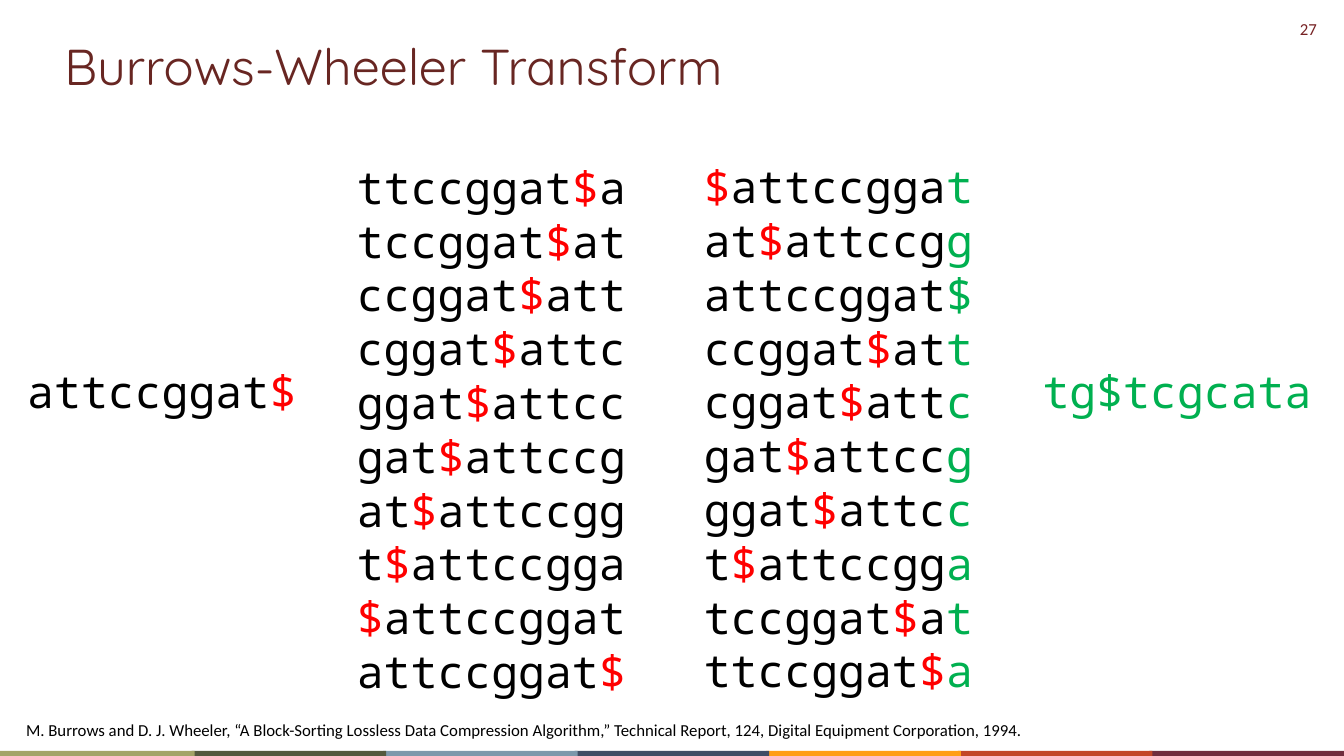
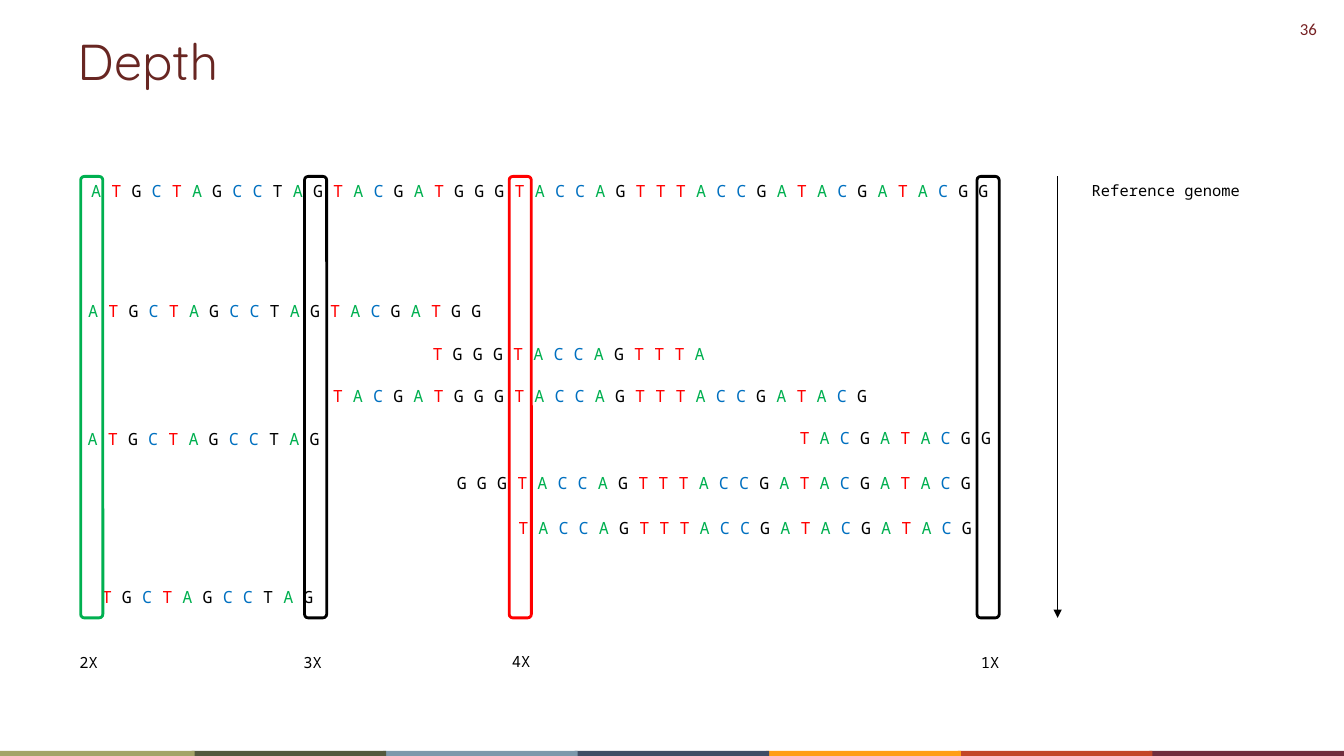
import itertools

import pptx
import pptx.dml.color
import pptx.enum.shapes
import pptx.enum.text
import pptx.oxml
import pptx.oxml.ns
import pptx.util

Inches = pptx.util.Inches
ALIGN = pptx.enum.text.PP_ALIGN
ANCHOR = pptx.enum.text.MSO_ANCHOR
SHAPE = pptx.enum.shapes.MSO_SHAPE

BLACK, WHITE, RED, GREEN, BLUE = "000000", "FFFFFF", "FF0000", "00B050", "0070C0"
TITLE_COLOR, NUMBER_COLOR = "682622", "762123"
BAND_COLORS = ["A3A467", "53593E", "7C98AB", "404E65", "FF9E16", "C34628", "712C3D"]
BASE_COLORS = {"A": GREEN, "C": BLUE, "G": BLACK, "T": RED}
MONO, BODY, HEADING = "Noto Sans Mono", "Calibri", "Quicksand"


def rgb(color):
    """Turn a hex string into a colour."""
    return pptx.dml.color.RGBColor.from_string(color)


def add_box(page, box, kind=SHAPE.RECTANGLE, fill=None, line=None, width=2):
    """Add a preset shape without shadow."""
    shape = page.shapes.add_shape(kind, *map(Inches, box))
    shape.shadow.inherit = False
    if fill:
        shape.fill.solid()
        shape.fill.fore_color.rgb = rgb(fill)
    else:
        shape.fill.background()
    if line:
        shape.line.color.rgb = rgb(line)
        shape.line.width = pptx.util.Pt(width)
    else:
        shape.line.fill.background()
    return shape


def write(shape, lines, size=12, font=BODY, align=ALIGN.LEFT, anchor=ANCHOR.TOP):
    """Write lines, each a list of (text, colour) spans, into a shape."""
    frame = shape.text_frame
    frame.word_wrap = True
    frame.vertical_anchor = anchor
    for index, spans in enumerate(lines):
        para = frame.paragraphs[0] if index == 0 else frame.add_paragraph()
        para.alignment = align
        for text, color in spans:
            span = para.add_run()
            span.text = text
            span.font.size = pptx.util.Pt(size)
            span.font.name = font
            span.font.color.rgb = rgb(color)


def add_text(page, box, text, color=BLACK, **style):
    """Add a one-line text box."""
    write(page.shapes.add_textbox(*map(Inches, box)), [[(text, color)]], **style)


def add_sequences(page, box, lines, size):
    """Add centred monospaced lines on a white rectangle."""
    write(add_box(page, box, fill=WHITE), lines, size=size, font=MONO,
          align=ALIGN.CENTER, anchor=ANCHOR.MIDDLE)


def add_page(deck, title, title_left, title_top, number):
    """Add a page with its title, number and footer bands."""
    page = deck.slides.add_slide(deck.slide_layouts[6])
    add_text(page, (12.46, 0.14, 0.7, 0.3), str(number), NUMBER_COLOR, align=ALIGN.RIGHT)
    for index, color in reversed(list(enumerate(BAND_COLORS))):
        add_box(page, (1.9 * index, 7.45, 1.93, 0.06), fill=color)
    add_text(page, (title_left, title_top, 12, 0.74), title, TITLE_COLOR,
             size=36, font=HEADING)
    return page


def color_rotation(text, mark_last=False):
    """Colour the end sign red and, on request, the last letter green."""
    colors = [RED if letter == "$" else BLACK for letter in text]
    if mark_last:
        colors[-1] = GREEN
    pairs = itertools.groupby(zip(text, colors), key=lambda pair: pair[1])
    return [("".join(letter for letter, _ in group), color) for color, group in pairs]


def color_bases(sequence):
    """Space out bases and colour each by its kind; T after CC stays black."""
    colors = [BLACK if base == "T" and sequence[:index].endswith("CC") else BASE_COLORS[base]
              for index, base in enumerate(sequence)]
    spans = []
    for color, group in itertools.groupby(zip(sequence, colors), key=lambda pair: pair[1]):
        spans.append(("".join(base + " " for base, _ in group), color))
    spans[-1] = (spans[-1][0].rstrip(), spans[-1][1])
    return spans


def build_transform(deck):
    """Show a word, its rotations, the sorted rotations and the result."""
    page = add_page(deck, "Burrows-Wheeler Transform", 0.54, 0.3, 27)
    word = "attccggat$"
    rotations = [word[cut:] + word[:cut] for cut in range(1, len(word) + 1)]
    ordered = sorted(rotations)
    result = "".join(row[-1] for row in ordered)
    columns = [
        ((0.15, 3.51, 2.91, 0.74), [color_rotation(word)]),
        ((3.06, 1.34, 3.63, 5.82), [color_rotation(row) for row in rotations]),
        ((6.36, 1.17, 3.91, 6.15), [color_rotation(row, True) for row in ordered]),
        ((10.22, 3.51, 2.91, 0.74), [[(result, GREEN)]]),
    ]
    for box, lines in columns:
        add_sequences(page, box, lines, 32)
    add_text(page, (0.16, 7.09, 11.63, 0.3),
             "M. Burrows and D. J. Wheeler, “A Block-Sorting Lossless Data Compression "
             "Algorithm,” Technical Report, 124, Digital Equipment Corporation, 1994.")


def add_arrow(page, left, top, bottom):
    """Draw a thin downward arrow."""
    arrow = page.shapes.add_connector(pptx.enum.shapes.MSO_CONNECTOR.STRAIGHT,
                                      *map(Inches, (left, top, left, bottom)))
    arrow.line.color.rgb = rgb(BLACK)
    arrow.line.width = pptx.util.Pt(0.75)
    namespace = pptx.oxml.ns.nsdecls("a")
    arrow.line._get_or_add_ln().append(
        pptx.oxml.parse_xml(f'<a:tailEnd {namespace} type="triangle"/>'))
    arrow._element.spPr.append(pptx.oxml.parse_xml(f"<a:effectLst {namespace}/>"))


def build_depth(deck):
    """Show reads aligned to a reference and the depth at marked columns."""
    page = add_page(deck, "Depth", 0.67, 0.25, 36)
    top, height = 1.75, 4.38
    reference = "ATGCTAGCCTAGTACGATGGGTACCAGTTTACCGATACGATACGG"
    reads = [
        (0.58, 5.78, 2.96, reference[1:12]),
        (4.83, 5.09, 5.12, reference[21:44]),
        (0.67, top, 9.37, reference),
        (0.64, 2.94, 4.37, reference[:20]),
        (4.15, 3.36, 2.98, reference[17:31]),
        (3.04, 3.78, 5.82, reference[12:39]),
        (0.64, 4.21, 2.76, reference[:12]),
        (7.69, 4.2, 2.38, reference[35:]),
        (4.24, 4.64, 5.68, reference[18:44]),
    ]
    for left, read_top, width, sequence in reads:
        add_sequences(page, (left, read_top, width, 0.29), [color_bases(sequence)], 12)
    markers = [
        (0.8, GREEN, "2X", 0.69, 6.43),
        (3.02, BLACK, "3X", 2.91, 6.43),
        (5.05, RED, "4X", 4.98, 6.42),
        (9.69, BLACK, "1X", 9.63, 6.43),
    ]
    for left, color, depth, label_left, label_top in markers:
        add_box(page, (left, top, 0.22, height), SHAPE.ROUNDED_RECTANGLE, line=color)
        add_text(page, (label_left, label_top, 0.44, 0.29), depth, size=11, font=MONO)
    add_text(page, (10.73, top, 2.14, 0.29), "Reference genome", size=11, font=MONO)
    add_arrow(page, 10.49, top, top + height)


def main():
    """Build and save the deck."""
    deck = pptx.Presentation()
    deck.slide_width, deck.slide_height = Inches(13.33), Inches(7.5)
    build_transform(deck)
    build_depth(deck)
    deck.save("out.pptx")


if __name__ == "__main__":
    main()
